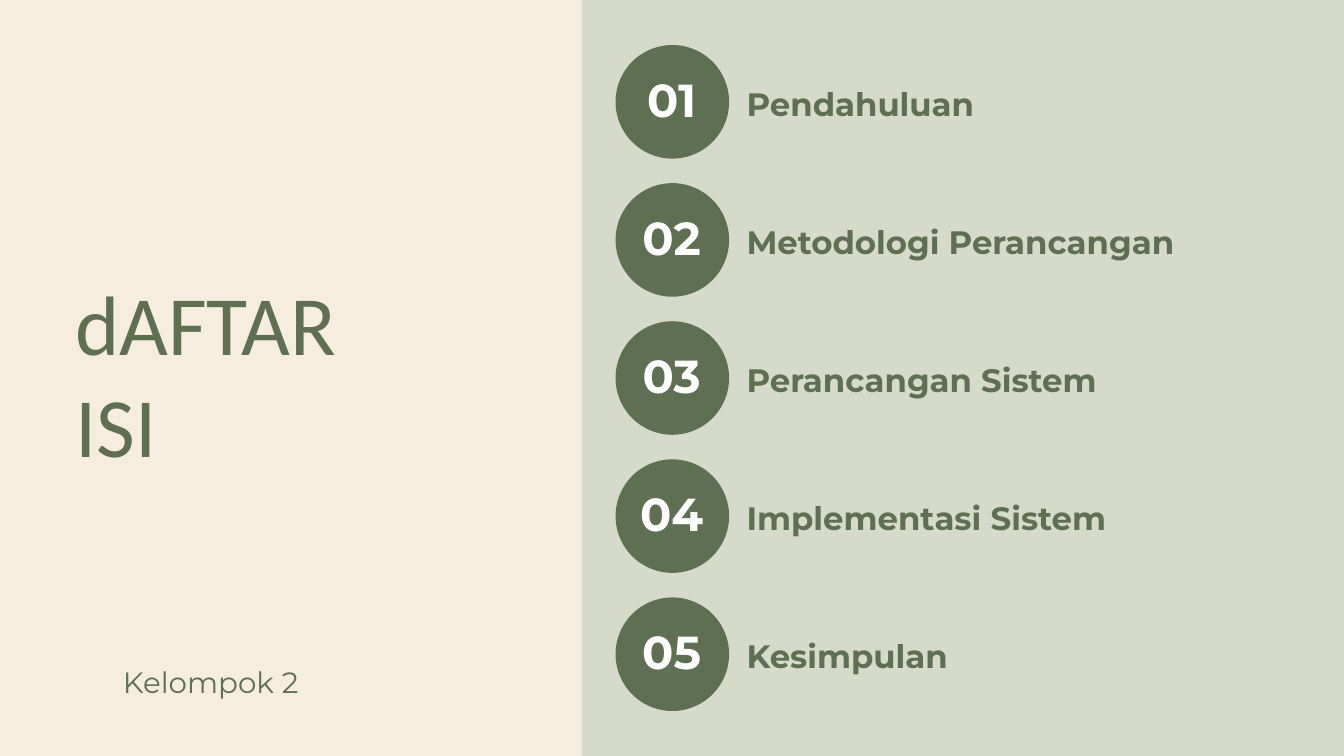
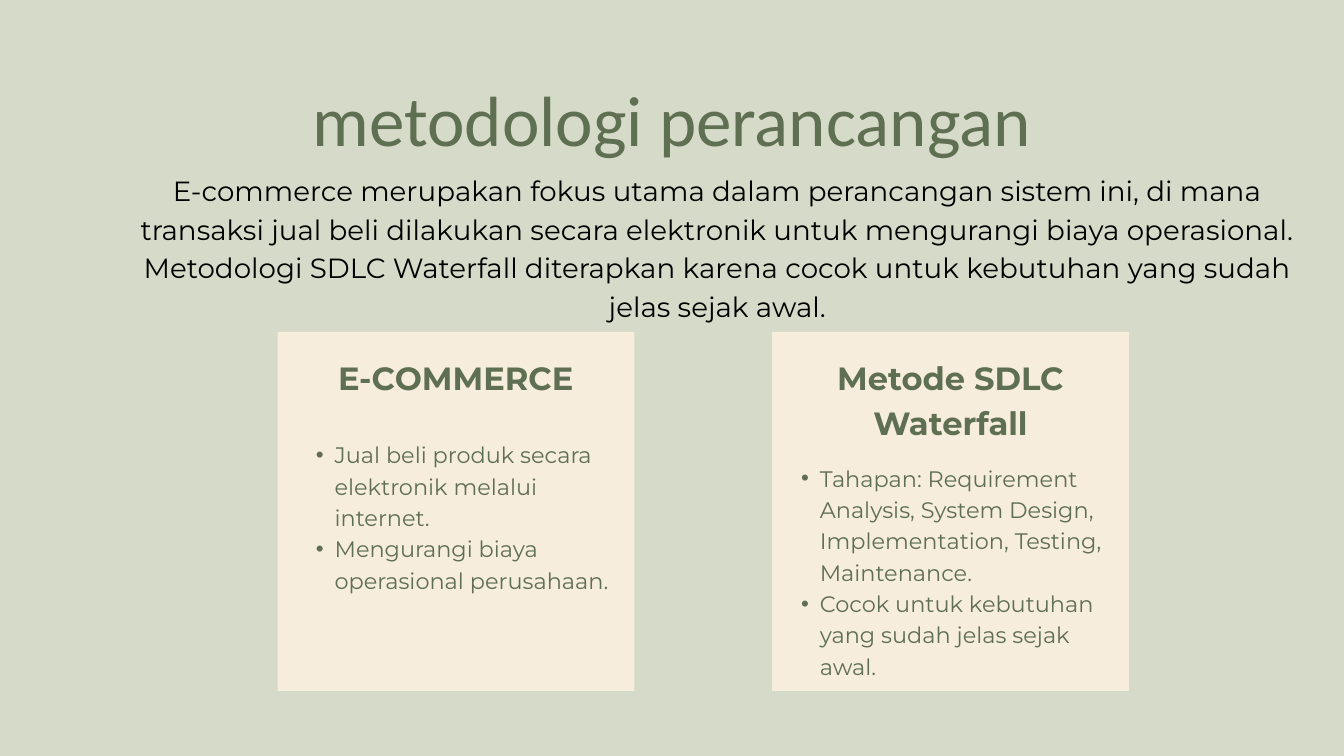
from dataclasses import dataclass

from lxml import etree
from pptx import Presentation
from pptx import util as u
from pptx.dml.color import RGBColor
from pptx.enum import shapes, text
from pptx.oxml import ns

COLORS = {
    "cream": "F6EDDD",
    "sage": "D6DAC8",
    "green": "5F6F52",
    "white": "FFFFFF",
    "black": "000000",
}
BODY_FONT = "Montserrat"
TITLE_FONT = "Calibri"
LEFT, CENTER = text.PP_ALIGN.LEFT, text.PP_ALIGN.CENTER
RECT, OVAL = shapes.MSO_SHAPE.RECTANGLE, shapes.MSO_SHAPE.OVAL


@dataclass
class Card:
    left: float
    heading: str
    heading_height: float
    bullets: list[str]
    bullet_box: tuple[float, float, float, float]


TOPICS = [
    "Pendahuluan",
    "Metodologi Perancangan",
    "Perancangan Sistem",
    "Implementasi Sistem",
    "Kesimpulan",
]
TOPIC_STEP = 2.055

CARDS = [
    Card(11.49, "Metode SDLC Waterfall", 1.3,
         ["Tahapan: Requirement Analysis, System Design, Implementation, Testing, Maintenance.",
          "Cocok untuk kebutuhan yang sudah jelas sejak awal."],
         (11.63, 6.85, 5.03, 3.64)),
    Card(4.13, "E-COMMERCE", 0.63,
         ["Jual beli produk secara elektronik melalui internet.",
          "Mengurangi biaya operasional perusahaan."],
         (4.41, 6.5, 4.75, 2.72)),
]


def rgb(name: str) -> RGBColor:
    return RGBColor.from_string(COLORS[name])


def add_slide(prs, background: str):
    slide = prs.slides.add_slide(prs.slide_layouts[6])
    slide.background.fill.solid()
    slide.background.fill.fore_color.rgb = rgb(background)
    return slide


def add_block(slide, kind, left: float, top: float, width: float, height: float, color: str):
    sp = slide.shapes.add_shape(kind, *map(u.Inches, (left, top, width, height)))
    sp.shadow.inherit = False
    sp.fill.solid()
    sp.fill.fore_color.rgb = rgb(color)
    sp.line.fill.background()
    return sp


def add_bullet(p) -> None:
    p.level = 1
    pPr = p._p.get_or_add_pPr()
    pPr.set("marL", str(u.Inches(0.57)))
    pPr.set("indent", str(u.Inches(-0.28)))
    etree.SubElement(pPr, ns.qn("a:buFont")).set("typeface", "Arial")
    etree.SubElement(pPr, ns.qn("a:buChar")).set("char", "•")


def add_text(slide, content: str, box: tuple[float, float, float, float], *,
             size: float, spacing: float, font: str = BODY_FONT, color: str = "green",
             bold: bool = False, align=LEFT, anchor=text.MSO_ANCHOR.TOP,
             inset: float = 0, bullets: bool = False):
    """Place text in a box; each line of content becomes a paragraph."""
    sp = slide.shapes.add_textbox(*map(u.Inches, box))
    tf = sp.text_frame
    tf.word_wrap = True
    tf.vertical_anchor = anchor
    tf.margin_left = tf.margin_right = u.Inches(inset)
    tf.margin_top = tf.margin_bottom = u.Inches(inset)
    for i, line in enumerate(content.split("\n")):
        p = tf.add_paragraph() if i else tf.paragraphs[0]
        if bullets:
            add_bullet(p)
        p.alignment = align
        p.line_spacing = u.Pt(spacing)
        r = p.add_run()
        r.text = line
        r.font.name = font
        r.font.size = u.Pt(size)
        r.font.bold = bold
        r.font.color.rgb = rgb(color)
    return sp


def add_topic(slide, index: int, topic: str) -> None:
    offset = index * TOPIC_STEP
    add_block(slide, OVAL, 9.16, 0.67 + offset, 1.69, 1.69, "green")
    add_text(slide, f"{index + 1:02}", (9.31, 0.61 + offset, 1.37, 1.59),
             size=49.5, spacing=69.3, color="white", bold=True, align=CENTER,
             anchor=text.MSO_ANCHOR.MIDDLE, inset=0.06)
    add_text(slide, topic, (11.11, 1.15 + offset, 7.76, 0.64),
             size=34.7, spacing=48.6, bold=True)


def add_card(slide, card: Card) -> None:
    add_block(slide, RECT, card.left, 4.94, 5.31, 5.34, "cream")
    add_text(slide, "\n".join(card.bullets), card.bullet_box,
             size=24, spacing=33.6, bullets=True)
    add_text(slide, card.heading, (card.left + 0.39, 5.24, 4.53, card.heading_height),
             size=34.4, spacing=48.1, bold=True, align=CENTER)


def build_contents(prs) -> None:
    slide = add_slide(prs, "cream")
    add_block(slide, RECT, 8.66, -0.3, 11.53, 11.69, "sage")
    for index, topic in enumerate(TOPICS):
        add_topic(slide, index, topic)
    add_text(slide, "dAFTAR\nISI", (1.12, 4.03, 7.28, 3.02),
             size=90.3, spacing=109.3, font=TITLE_FONT)
    add_text(slide, "Kelompok 2", (1.83, 9.8, 6.58, 0.58), size=31.4, spacing=44)


def build_methodology(prs) -> None:
    slide = add_slide(prs, "sage")
    add_text(slide, "metodologi perancangan", (1.12, 1.11, 17.75, 1.27),
             size=76.1, spacing=92.1, font=TITLE_FONT, align=CENTER)
    add_text(slide,
             "E-commerce merupakan fokus utama dalam perancangan sistem ini, di mana "
             "transaksi jual beli dilakukan secara elektronik untuk mengurangi biaya "
             "operasional. Metodologi SDLC Waterfall diterapkan karena cocok untuk "
             "kebutuhan yang sudah jelas sejak awal.",
             (1.69, 2.5, 17.97, 2.27), size=29.7, spacing=41.6, color="black", align=CENTER)
    for card in CARDS:
        add_card(slide, card)


def main() -> None:
    prs = Presentation()
    prs.slide_width, prs.slide_height = u.Inches(20), u.Inches(11.25)
    build_contents(prs)
    build_methodology(prs)
    prs.save("out.pptx")


if __name__ == "__main__":
    main()
